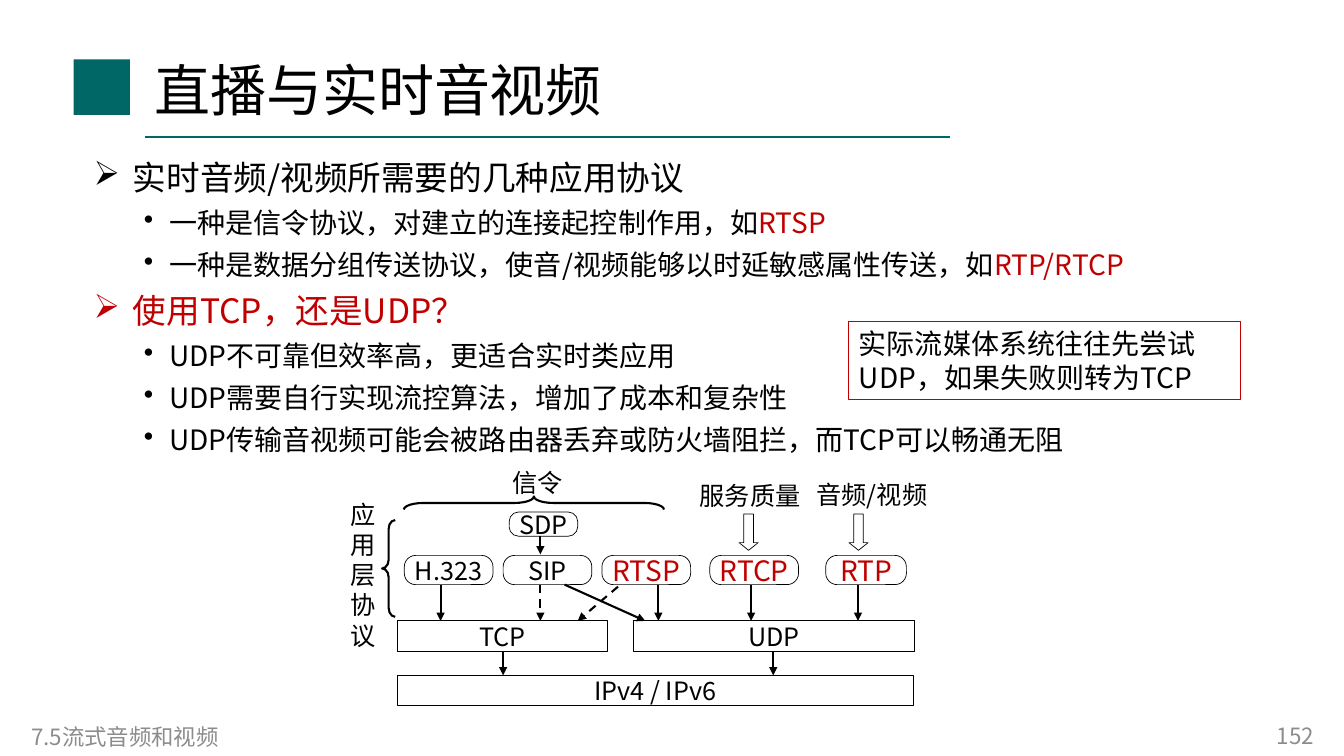
from pptx import Presentation, util as u
from pptx.dml import color as dml_color
from pptx.enum import dml, shapes, text
from pptx.oxml.ns import qn
from lxml import etree

FONT = "Noto Sans CJK SC"
BLACK, RED, TEAL, GRAY = "000000", "C00000", "006666", "8C8C8C"
SHAPE = shapes.MSO_SHAPE
LEFT, CENTER, RIGHT = text.PP_ALIGN.LEFT, text.PP_ALIGN.CENTER, text.PP_ALIGN.RIGHT
TOP, MIDDLE = text.MSO_ANCHOR.TOP, text.MSO_ANCHOR.MIDDLE


def rgb(value):
    return dml_color.RGBColor.from_string(value)


def set_values(target, values):
    for name, value in values.items():
        setattr(target, name, value)


class SlideBuilder:
    def __init__(self, presentation):
        self.slide = presentation.slides.add_slide(presentation.slide_layouts[5])
        self.font = FONT

    def set_text(self, shape, paragraphs, size=18, color=BLACK, align=LEFT,
                 anchor=TOP, wrap=True, inset=(0.1, 0.05)):
        frame = shape.text_frame
        side, edge = (u.Inches(value) for value in inset)
        set_values(frame, {"auto_size": text.MSO_AUTO_SIZE.NONE, "word_wrap": wrap,
                           "vertical_anchor": anchor, "margin_left": side,
                           "margin_right": side, "margin_top": edge,
                           "margin_bottom": edge})
        for index, content in enumerate(paragraphs):
            paragraph = frame.add_paragraph() if index else frame.paragraphs[0]
            self.fill_paragraph(paragraph, [(content, color)], size, align)
        return frame

    def fill_paragraph(self, paragraph, runs, size, align=LEFT, before=0):
        set_values(paragraph, {"alignment": align, "space_before": u.Pt(before),
                               "line_spacing": u.Pt(size * 1.2)})
        for content, color in runs:
            run = paragraph.add_run()
            run.text = content
            set_values(run.font, {"name": self.font, "size": u.Pt(size), "bold": False})
            run.font.color.rgb = rgb(color)
            east_asian = etree.Element(qn("a:ea"), typeface=self.font)
            run.font._element.find(qn("a:latin")).addnext(east_asian)

    def title(self, content, place):
        shape = self.slide.shapes.title
        set_values(shape, dict(zip(("left", "top", "width", "height"),
                                   map(u.Inches, place))))
        self.set_text(shape, [content], size=40, anchor=MIDDLE)

    def label(self, paragraphs, place, **style):
        shape = self.slide.shapes.add_textbox(*map(u.Inches, place))
        return self.set_text(shape, paragraphs, **style)

    def outline(self, items, place):
        frame = self.label([], place)
        for index, (level, runs) in enumerate(items):
            paragraph = frame.add_paragraph() if index else frame.paragraphs[0]
            size, bullet, margin, hang = ((20, "•", 0.75, 0.25) if level
                                          else (24, "➢", 0.39, 0.39))
            paragraph.level = level
            properties = paragraph._p.get_or_add_pPr()
            properties.set("marL", str(u.Inches(margin)))
            properties.set("indent", str(-u.Inches(hang)))
            etree.SubElement(properties, qn("a:buChar"), char=bullet)
            self.fill_paragraph(paragraph, runs, size, before=6 if index else 0)

    def shape(self, kind, place, fill=None, line=BLACK, width=0.75,
              adjust=(), rotation=0, content=None, **style):
        shape = self.slide.shapes.add_shape(kind, *map(u.Inches, place))
        shape.shadow.inherit = False
        shape.rotation = rotation
        for index, value in enumerate(adjust):
            shape.adjustments[index] = value
        if fill:
            shape.fill.solid()
            shape.fill.fore_color.rgb = rgb(fill)
        else:
            shape.fill.background()
        if line:
            shape.line.color.rgb = rgb(line)
            shape.line.width = u.Pt(width)
        else:
            shape.line.fill.background()
        if content:
            self.set_text(shape, [content], **style)

    def node(self, kind, content, place, **style):
        self.shape(kind, place, content=content, align=CENTER, anchor=MIDDLE,
                   wrap=False, inset=(0, 0), **style)

    def line(self, start, end, color=BLACK, dashed=False, arrow=True):
        connector = self.slide.shapes.add_connector(
            shapes.MSO_CONNECTOR.STRAIGHT, *map(u.Inches, start + end))
        connector.line.color.rgb = rgb(color)
        connector.line.width = u.Pt(1.5)
        if dashed:
            connector.line.dash_style = dml.MSO_LINE.DASH
        if arrow:
            etree.SubElement(connector.line._get_or_add_ln(), qn("a:tailEnd"),
                             type="triangle")
        etree.SubElement(connector._element.spPr, qn("a:effectLst"))


def main():
    presentation = Presentation()
    presentation.slide_width = u.Inches(13.33)
    presentation.slide_height = u.Inches(7.5)
    builder = SlideBuilder(presentation)

    builder.shape(SHAPE.RECTANGLE, (0.73, 0.59, 0.56, 0.55), fill=TEAL, line=None)
    builder.line((1.44, 1.36), (9.42, 1.36), color=TEAL, arrow=False)
    builder.title("直播与实时音视频", (1.43, 0.4, 8.99, 0.96))
    builder.outline([
        (0, [("实时音频/视频所需要的几种应用协议", BLACK)]),
        (1, [("一种是信令协议，对建立的连接起控制作用，如", BLACK), ("RTSP", RED)]),
        (1, [("一种是数据分组传送协议，使音/视频能够以时延敏感属性传送，如", BLACK),
             ("RTP/RTCP", RED)]),
        (0, [("使用TCP，还是UDP？", RED)]),
        (1, [("UDP不可靠但效率高，更适合实时类应用", BLACK)]),
        (1, [("UDP需要自行实现流控算法，增加了成本和复杂性", BLACK)]),
        (1, [("UDP传输音视频可能会被路由器丢弃或防火墙阻拦，而TCP可以畅通无阻", BLACK)]),
    ], (0.83, 1.51, 10.74, 3.02))
    builder.shape(SHAPE.RECTANGLE, (8.42, 3.19, 3.88, 0.77), line=RED, size=20,
                  content="实际流媒体系统往往先尝试UDP，如果失败则转为TCP")

    for content, left, top, width in (("TCP", 3.94, 6.16, 2.09),
                                      ("UDP", 6.28, 6.16, 2.79),
                                      ("IPv4 / IPv6", 3.94, 6.7, 5.12)):
        builder.node(SHAPE.RECTANGLE, content, (left, top, width, 0.3))

    for content, left, top, width, height, size, color in (
            ("H.323", 4.01, 5.51, 0.88, 0.29, 18, BLACK),
            ("SIP", 4.99, 5.51, 0.88, 0.29, 18, BLACK),
            ("RTSP", 5.97, 5.51, 0.88, 0.29, 20, RED),
            ("RTCP", 7.04, 5.51, 0.88, 0.29, 20, RED),
            ("RTP", 8.19, 5.51, 0.8, 0.29, 20, RED),
            ("SDP", 5.05, 5.08, 0.68, 0.24, 18, BLACK)):
        builder.node(SHAPE.ROUNDED_RECTANGLE, content, (left, top, width, height),
                     width=0.5, adjust=(0.39,), size=size, color=color)

    for x in (4.37, 6.53, 7.45, 8.51):
        builder.line((x, 5.8), (x, 6.16))
    for x in (4.99, 7.67):
        builder.line((x, 6.46), (x, 6.7))
    builder.line((5.36, 5.32), (5.36, 5.5))
    builder.line((5.6, 5.8), (6.4, 6.16))
    builder.line((5.36, 5.8), (5.36, 6.16), dashed=True)
    builder.line((6.13, 5.82), (5.73, 6.16), dashed=True)

    builder.shape(SHAPE.LEFT_BRACE, (5.23, 3.7, 0.13, 2.58), width=1.5,
                  adjust=(1.49, 0.5), rotation=90)
    builder.shape(SHAPE.LEFT_BRACE, (3.79, 5.16, 0.13, 0.96), width=1.5,
                  adjust=(0.67, 0.5))
    for left in (7.33, 8.42):
        builder.shape(SHAPE.DOWN_ARROW, (left, 5.1, 0.19, 0.36), width=0.5,
                      adjust=(0.5, 0.4))

    builder.label(["信令"], (4.98, 4.59, 0.71, 0.4), wrap=False)
    builder.label(["服务质量"], (6.84, 4.72, 1.21, 0.4), wrap=False)
    builder.label(["音频/视频"], (8, 4.71, 1.32, 0.4))
    builder.label(list("应用层协议"), (3.38, 4.9, 0.45, 1.62), wrap=False)
    builder.label(["7.5流式音频和视频"], (0.21, 7.13, 2.15, 0.37), size=16, color=GRAY)
    builder.label(["152"], (9.5, 7.1, 3.63, 0.4), size=16, color=GRAY,
                  align=RIGHT, anchor=MIDDLE)
    presentation.save("out.pptx")


if __name__ == "__main__":
    main()
